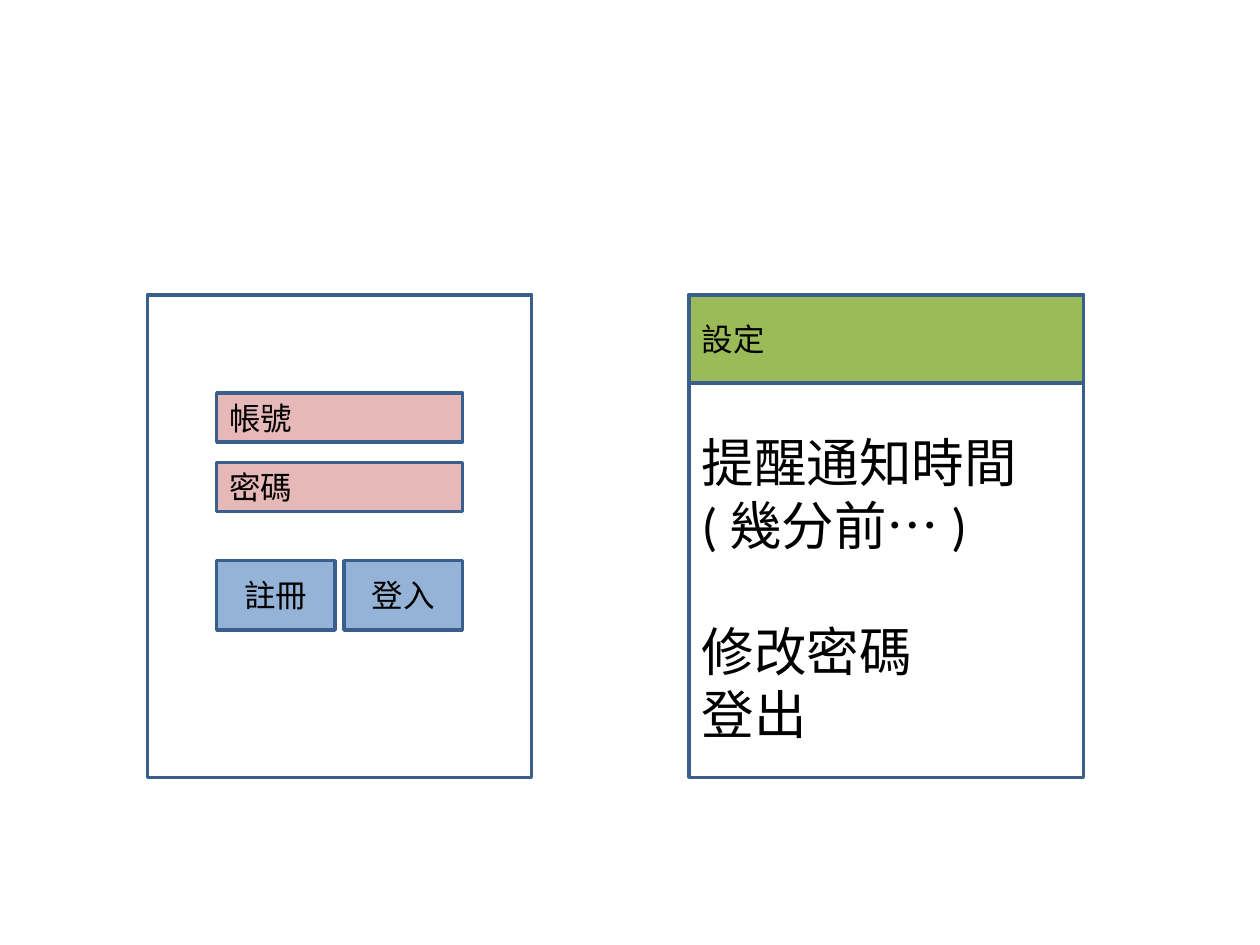
from pptx import Presentation
from pptx.dml.color import RGBColor
from pptx.enum.shapes import MSO_SHAPE
from pptx.enum.text import MSO_ANCHOR, PP_ALIGN
from pptx.util import Inches, Pt


def color(code):
    return RGBColor.from_string(code)


class Sketch:
    """Draws outlined boxes and their text on one slide."""

    font, ink, edge = "Calibri", "000000", "3A5F8C"
    paper, pink, blue, green = "FFFFFF", "E6B9B8", "95B3D7", "9BBB59"

    def __init__(self, slide):
        self.slide = slide

    def box(self, left, top, width, height, fill):
        shape = self.slide.shapes.add_shape(
            MSO_SHAPE.RECTANGLE, Inches(left), Inches(top), Inches(width), Inches(height))
        shape.shadow.inherit = False
        shape.fill.solid()
        shape.fill.fore_color.rgb = color(fill)
        shape.line.color.rgb = color(self.edge)
        shape.line.width = Pt(2)
        return shape

    def add_text(self, para, text, size, align=PP_ALIGN.LEFT):
        para.alignment = align
        run = para.add_run()
        run.text = text
        run.font.size = Pt(size)
        run.font.name = self.font
        run.font.color.rgb = color(self.ink)

    def label(self, shape, text, align=PP_ALIGN.LEFT):
        frame = shape.text_frame
        frame.vertical_anchor = MSO_ANCHOR.MIDDLE
        self.add_text(frame.paragraphs[0], text, 18, align)

    def menu(self, shape, rows, inset):
        frame = shape.text_frame
        frame.vertical_anchor = MSO_ANCHOR.TOP
        frame.margin_top = Inches(inset)
        for index, (text, gap) in enumerate(rows):
            para = frame.paragraphs[0] if index == 0 else frame.add_paragraph()
            para.space_before = Pt(gap)
            self.add_text(para, text, 30)


def main():
    deck = Presentation()
    deck.slide_width, deck.slide_height = Inches(10), Inches(7.5)
    sketch = Sketch(deck.slides.add_slide(deck.slide_layouts[6]))
    top, height = 2.34, 3.83

    sketch.box(1.17, top, 3.05, height, sketch.paper)
    for index, text in enumerate(["帳號", "密碼"]):
        field = sketch.box(1.72, 3.12 + index * 0.55, 1.95, 0.39, sketch.pink)
        sketch.label(field, text)
    for index, text in enumerate(["註冊", "登入"]):
        button = sketch.box(1.72 + index * 1.01, 4.45, 0.94, 0.55, sketch.blue)
        sketch.label(button, text, PP_ALIGN.CENTER)

    left, width = 5.47, 3.13
    panel = sketch.box(left, top, width, height, sketch.paper)
    rows = [("提醒通知時間", 0), ("( 幾分前… )", 0), ("修改密碼", 36), ("登出", 0)]
    sketch.menu(panel, rows, 1.07)
    sketch.label(sketch.box(left, top, width, 0.7, sketch.green), "設定")

    deck.save("out.pptx")


if __name__ == "__main__":
    main()
